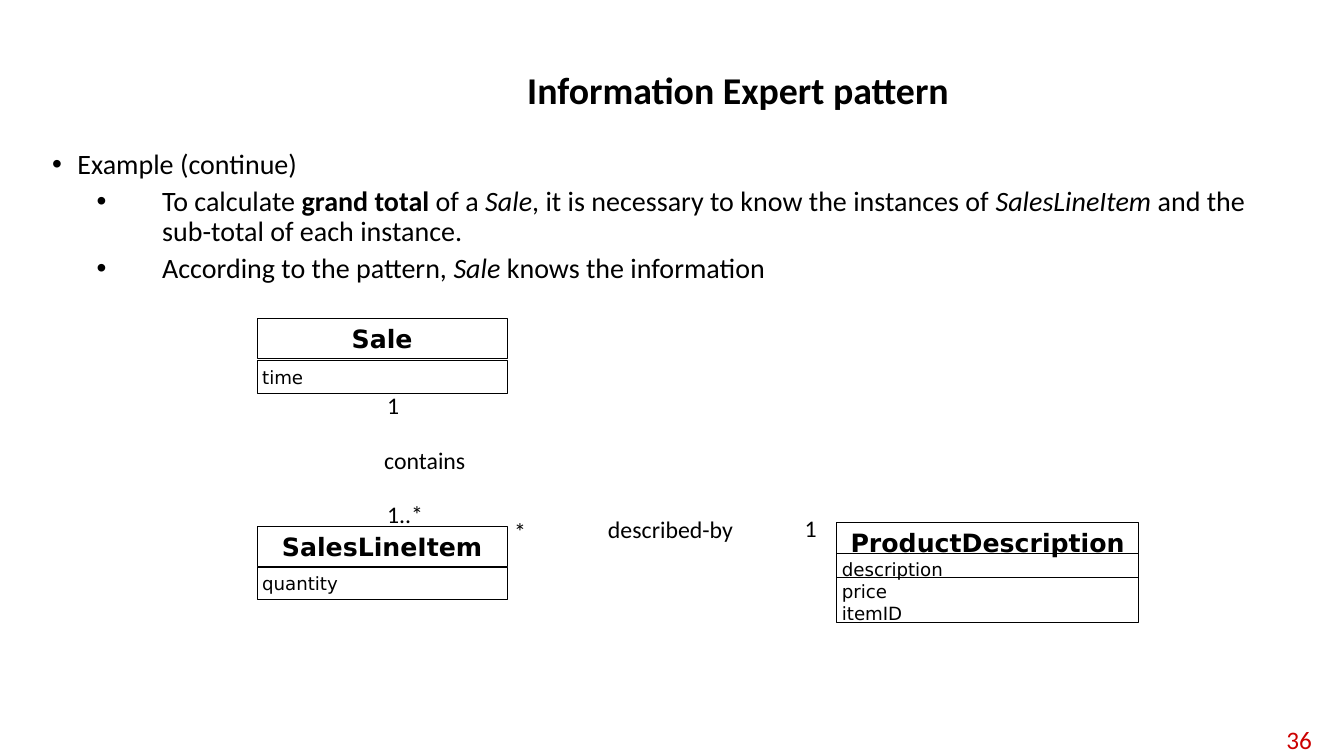
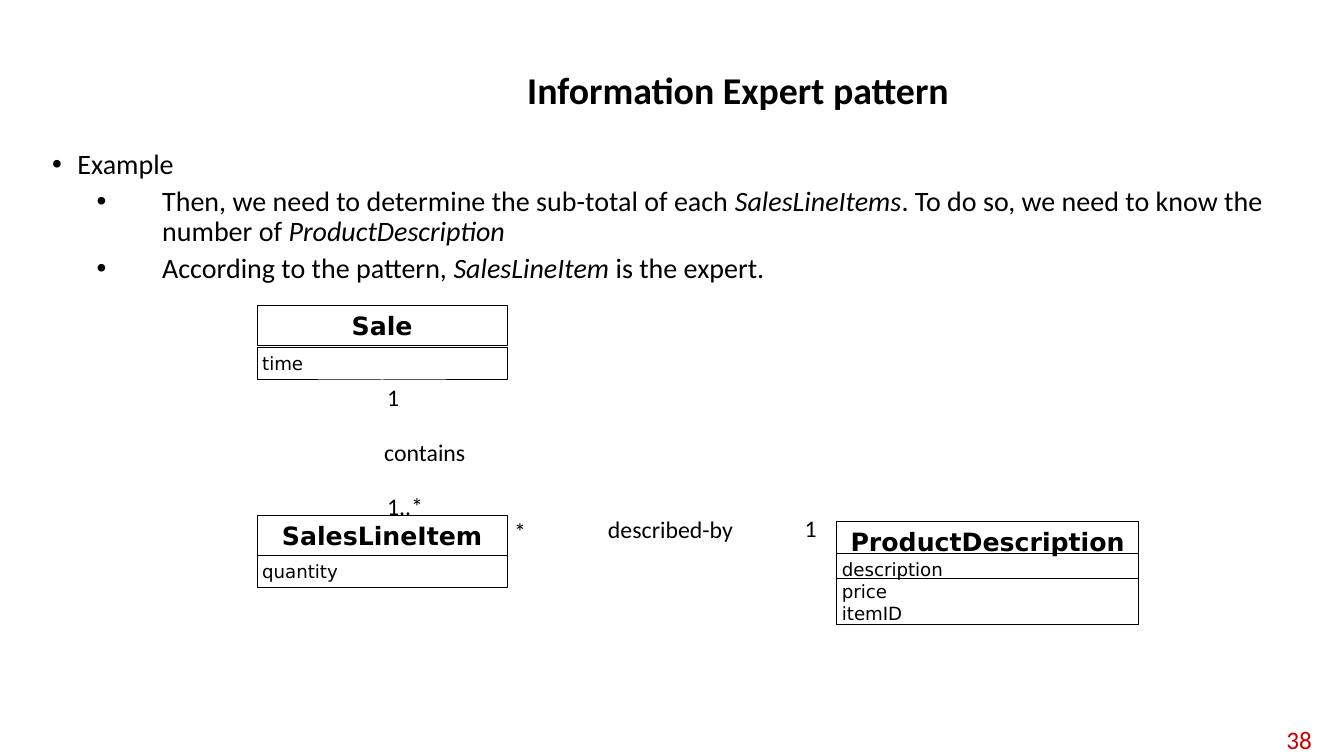
from lxml import etree
from pptx import Presentation
from pptx import util as u
from pptx.dml import color
from pptx.enum import shapes, text
from pptx.oxml import ns

PX = 9144
COLORS = {"ink": "000000", "number": "CC0000", "paper": "FFFFFF"}
BODY_FONT = "Calibri"
CLASS_FONT = "DejaVu Sans"
TITLE = "Information Expert pattern"
BULLET_LEVELS = [(25, 25, 10), (109, 65, 5)]


def px(length):
    return u.Emu(length * PX)


def rgb(name):
    return color.RGBColor.from_string(COLORS[name])


def add_run(paragraph, content, size, font=BODY_FONT, ink="ink", bold=False, italic=False):
    run = paragraph.add_run()
    run.text = content
    run.font.name = font
    run.font.size = u.Pt(size)
    run.font.bold = bold
    run.font.italic = italic
    run.font.color.rgb = rgb(ink)


def add_textbox(slide, box, anchor=text.MSO_ANCHOR.MIDDLE):
    frame = slide.shapes.add_textbox(*map(px, box)).text_frame
    frame.word_wrap = True
    frame.vertical_anchor = anchor
    return frame


def set_insets(frame, inset):
    frame.margin_left = frame.margin_right = px(inset)
    frame.margin_top = frame.margin_bottom = px(inset)


def set_bullet(paragraph, level):
    indent, hanging, _ = BULLET_LEVELS[level]
    paragraph.level = level
    properties = paragraph._p.get_or_add_pPr()
    properties.set("marL", str(px(indent)))
    properties.set("indent", str(px(-hanging)))
    etree.SubElement(properties, ns.qn("a:buFont"), typeface="Arial")
    etree.SubElement(properties, ns.qn("a:buChar"), char="•")


def add_title(slide, box):
    paragraph = add_textbox(slide, box).paragraphs[0]
    paragraph.alignment = text.PP_ALIGN.CENTER
    paragraph.line_spacing = 0.9
    add_run(paragraph, TITLE, 27, bold=True)


def add_page_number(slide, box, number):
    paragraph = add_textbox(slide, box).paragraphs[0]
    paragraph.alignment = text.PP_ALIGN.RIGHT
    add_run(paragraph, str(number), 18, ink="number")


def add_bullets(slide, box, bullets):
    frame = add_textbox(slide, box, text.MSO_ANCHOR.TOP)
    for index, (level, runs) in enumerate(bullets):
        paragraph = frame.add_paragraph() if index else frame.paragraphs[0]
        set_bullet(paragraph, level)
        paragraph.line_spacing = 0.9
        paragraph.space_before = u.Pt(BULLET_LEVELS[level][2] if index else 0)
        for content, style in runs:
            add_run(paragraph, content, 20, bold=style == "bold", italic=style == "italic")


def add_compartment(group, box, lines, size, alignment, fit, bold=False):
    shape = group.shapes.add_shape(shapes.MSO_SHAPE.RECTANGLE, *map(px, box))
    shape.shadow.inherit = False
    shape.fill.background()
    shape.line.color.rgb = rgb("ink")
    shape.line.width = u.Pt(0.75)
    frame = shape.text_frame
    frame.word_wrap = True
    frame.auto_size = fit
    frame.vertical_anchor = text.MSO_ANCHOR.TOP
    set_insets(frame, 5)
    for index, line in enumerate(lines):
        paragraph = frame.add_paragraph() if index else frame.paragraphs[0]
        paragraph.alignment = alignment
        add_run(paragraph, line, size, CLASS_FONT, bold=bold)


def add_class(slide, box, name, attributes, name_height=40, attributes_height=32,
              fit=text.MSO_AUTO_SIZE.SHAPE_TO_FIT_TEXT):
    left, top, width, height = box
    group = slide.shapes.add_group_shape()
    attributes_top = top + height - attributes_height
    add_compartment(group, (left, attributes_top, width, attributes_height),
                    attributes, 13, text.PP_ALIGN.LEFT, fit)
    add_compartment(group, (left, top, width, name_height),
                    [name], 18, text.PP_ALIGN.CENTER, fit, bold=True)


def add_label(slide, box, content):
    frame = add_textbox(slide, box)
    frame.word_wrap = False
    frame.auto_size = text.MSO_AUTO_SIZE.SHAPE_TO_FIT_TEXT
    set_insets(frame, 5)
    add_run(frame.paragraphs[0], content, 17)


def add_contains(slide, left, top):
    labels = [("1", 3, 21), ("contains", 0, 91), ("1..*", 3, 46)]
    for row, (content, offset, width) in enumerate(labels):
        add_label(slide, (left + offset, top + 54 * row, width, 38), content)


def add_described_by(slide, left, top):
    labels = [("*", 0, 3, 21), ("described-by", 93, 1, 135), ("1", 288, 0, 21)]
    for content, across, down, width in labels:
        add_label(slide, (left + across, top + down, width, 38), content)


def add_class_diagram(slide, left, sale, item, contains_top, product, name_height, attributes_height):
    for (top, height), name, attribute in ((sale, "Sale", "time"),
                                           (item, "SalesLineItem", "quantity")):
        add_class(slide, (left, top, 248, height), name, [attribute])
    top, height = product
    add_class(slide, (left + 575, top, 299, height), "ProductDescription",
              ["description", "price", "itemID"], name_height, attributes_height,
              text.MSO_AUTO_SIZE.NONE)
    add_contains(slide, left + 121, contains_top)
    add_described_by(slide, left + 250, 505)


def add_example_slide(presentation, number, bullets, diagram):
    slide = presentation.slides.add_slide(presentation.slide_layouts[6])
    slide.background.fill.solid()
    slide.background.fill.fore_color.rgb = rgb("paper")
    add_page_number(slide, (1242, 716, 69, 36), number)
    add_title(slide, (223, 40, 1018, 102))
    add_bullets(slide, (42, 144, 1250, 517), bullets)
    add_class_diagram(slide, 255, **diagram)


EXAMPLES = [
    (36, [
        (0, [("Example (continue)", "")]),
        (1, [("To calculate ", ""), ("grand total", "bold"), (" of a ", ""), ("Sale", "italic"),
             (", it is necessary to know the instances of ", ""), ("SalesLineItem", "italic"),
             (" and the sub-total of each instance.", "")]),
        (1, [("According to the pattern, ", ""), ("Sale", "italic"),
             (" knows the information", "")]),
    ], dict(sale=(316, 74), item=(522, 73), contains_top=383,
            product=(518, 100), name_height=55, attributes_height=69)),
    (38, [
        (0, [("Example", "")]),
        (1, [("Then, we need to determine the sub-total of each ", ""),
             ("SalesLineItems", "italic"),
             (". To do so, we need to know the number of ", ""),
             ("ProductDescription", "italic")]),
        (1, [("According to the pattern, ", ""), ("SalesLineItem", "italic"),
             (" is the expert.", "")]),
    ], dict(sale=(303, 74), item=(511, 72), contains_top=375,
            product=(517, 103), name_height=57, attributes_height=71)),
]


def main():
    presentation = Presentation()
    presentation.slide_width = px(1333)
    presentation.slide_height = px(750)
    for number, bullets, diagram in EXAMPLES:
        add_example_slide(presentation, number, bullets, diagram)
    presentation.save("out.pptx")


if __name__ == "__main__":
    main()
